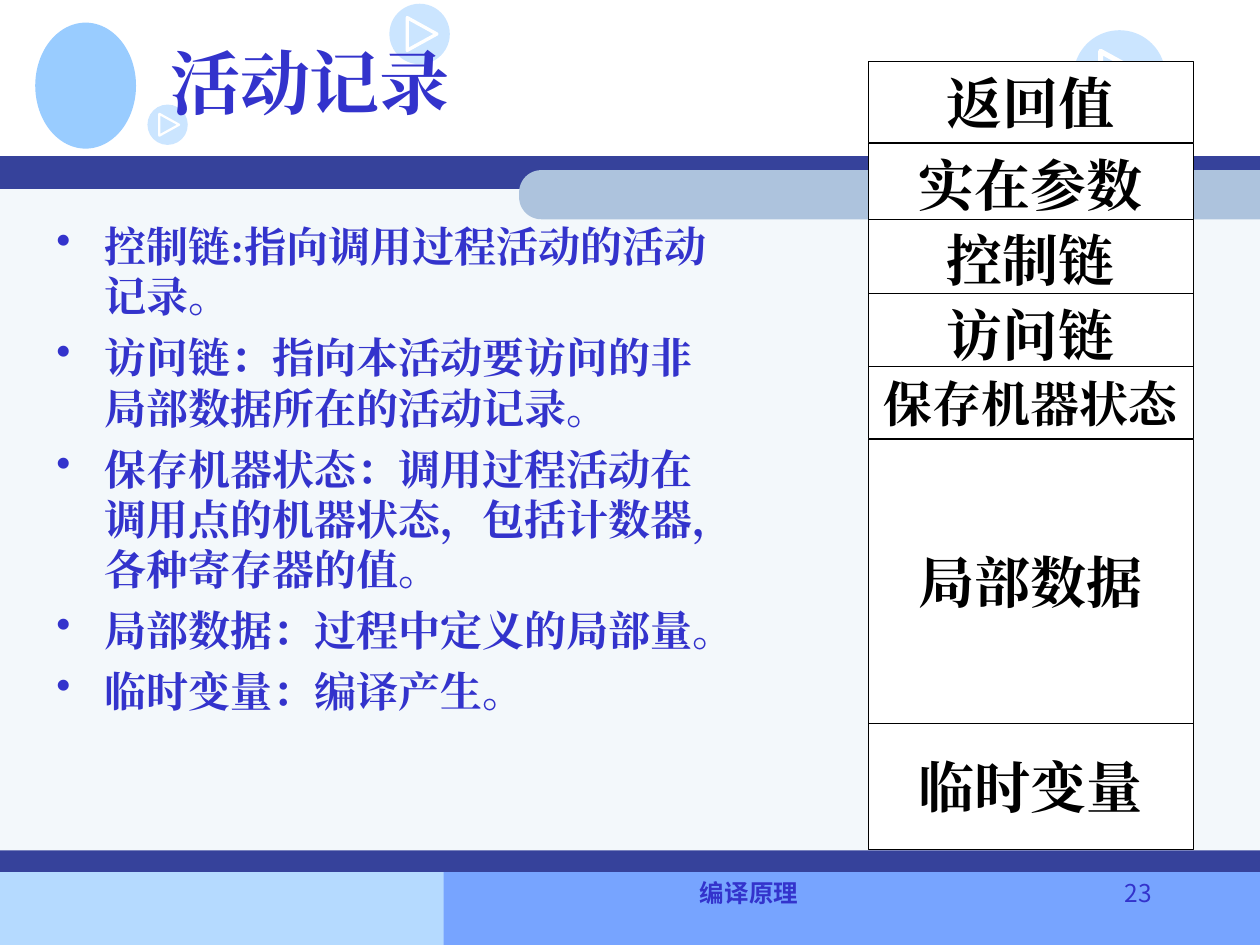
from pptx import Presentation
from pptx.dml.color import RGBColor
from pptx.enum import shapes, text
from pptx.oxml import parse_xml
from pptx.oxml.ns import nsdecls, qn
from pptx.util import Inches, Pt

WHITE = RGBColor(0xFF, 0xFF, 0xFF)
BLACK = RGBColor(0, 0, 0)
INK = RGBColor(0x33, 0x33, 0xCC)
SKY = RGBColor(0x99, 0xCC, 0xFF)
NAVY = RGBColor(0x36, 0x42, 0x9B)
PALE = RGBColor(0xF3, 0xF8, 0xFB)
STEEL = RGBColor(0xAD, 0xC3, 0xDD)
FOOT_LEFT = RGBColor(0xB5, 0xDA, 0xFF)
FOOT_RIGHT = RGBColor(0x77, 0xA4, 0xFF)

SERIF = "Times New Roman"
SANS = "Noto Sans CJK KR"
SHAPE = shapes.MSO_SHAPE
ALIGN = text.PP_ALIGN

BULLETS = [
    "控制链:指向调用过程活动的活动记录。",
    "访问链：指向本活动要访问的非局部数据所在的活动记录。",
    "保存机器状态：调用过程活动在调用点的机器状态，包括计数器，各种寄存器的值。",
    "局部数据：过程中定义的局部量。",
    "临时变量：编译产生。",
]

# Fields of the activation record: label, top, height, text size
FIELDS = [
    ("返回值", 0.49, 0.64, 32),
    ("实在参数", 1.14, 0.64, 32),
    ("控制链", 1.74, 0.64, 32),
    ("访问链", 2.33, 0.64, 32),
    ("保存机器状态", 2.91, 0.57, 28),
    ("局部数据", 3.49, 2.25, 32),
    ("临时变量", 5.74, 1, 32),
]


def add_shape(s, kind, x, y, w, h, fill=None, line=None, width=0.75):
    sp = s.shapes.add_shape(kind, Inches(x), Inches(y), Inches(w), Inches(h))
    sp.shadow.inherit = False
    if fill is None:
        sp.fill.background()
    else:
        sp.fill.solid()
        sp.fill.fore_color.rgb = fill
    if line is None:
        sp.line.fill.background()
    else:
        sp.line.color.rgb = line
        sp.line.width = Pt(width)
    return sp


def write(p, words, size, color, font=SERIF, bold=True, align=ALIGN.LEFT):
    p.text = words
    p.alignment = align
    f = p.font
    f.size, f.bold, f.name = Pt(size), bold, font
    f.color.rgb = color
    # East Asian glyphs follow the same font name
    latin = f._element.find(qn("a:latin"))
    latin.addnext(parse_xml(f'<a:ea {nsdecls("a")} typeface="{font}"/>'))


def add_text(s, x, y, w, h):
    tf = s.shapes.add_textbox(Inches(x), Inches(y), Inches(w), Inches(h)).text_frame
    tf.word_wrap = True
    return tf


def add_play_button(s, x, y, d):
    disc = add_shape(s, SHAPE.OVAL, x, y, d, d, SKY)
    color = disc.fill._xPr.find(qn("a:solidFill"))[0]
    color.append(parse_xml(f'<a:alpha {nsdecls("a")} val="50000"/>'))
    w, h = 0.54 * d, 0.49 * d
    arrow = add_shape(s, SHAPE.ISOSCELES_TRIANGLE, x + 0.54 * d - w / 2,
                      y + (d - h) / 2, w, h, line=WHITE, width=4 * d)
    arrow.rotation = 90


def add_backdrop(s):
    for x, y, w, h, fill in [
        (0, 6.92, 4.25, 0.58, FOOT_LEFT),
        (3.52, 6.91, 6.48, 0.59, FOOT_RIGHT),
        (0, 1.4, 10, 5.51, PALE),
        (0, 1.24, 10, 0.26, NAVY),
        (0, 6.75, 10, 0.17, NAVY),
    ]:
        add_shape(s, SHAPE.RECTANGLE, x, y, w, h, fill)
    # Band with a rounded left end: an upright shape turned on its side
    length, height = 5.88, 0.39
    band = add_shape(s, SHAPE.ROUND_2_SAME_RECTANGLE, 10 - (length + height) / 2,
                     1.35 - (length - height) / 2, height, length, STEEL)
    band.adjustments[0] = 0.45
    band.rotation = 270
    # Plain emblem and play buttons
    add_shape(s, SHAPE.OVAL, 0.28, 0.18, 0.8, 1, SKY)
    for x, y, d in [(3.09, 0.03, 0.48), (8.52, 0.24, 0.73), (1.17, 0.83, 0.32)]:
        add_play_button(s, x, y, d)


def add_title(s, words):
    title = s.shapes.title
    title.left, title.top = Inches(1.25), Inches(0.06)
    title.width, title.height = Inches(8.5), Inches(1.17)
    tf = title.text_frame
    tf.vertical_anchor = text.MSO_ANCHOR.MIDDLE
    write(tf.paragraphs[0], words, 40, INK)
    s.shapes._spTree.append(title._element)  # in front of the backdrop


def add_bullets(s, items):
    tf = add_text(s, 0.35, 1.7, 5.43, 4.76)
    for i, item in enumerate(items):
        p = tf.add_paragraph() if i else tf.paragraphs[0]
        write(p, item, 24, INK)
        p.space_before = Pt(6)
        p.line_spacing = Pt(28.8)
        pPr = p._p.get_or_add_pPr()
        pPr.set("marL", str(Inches(0.38)))
        pPr.set("indent", str(-Inches(0.38)))
        bullet = parse_xml(f'<a:buChar {nsdecls("a")} char="•"/>')
        pPr.find(qn("a:defRPr")).addprevious(bullet)


def add_field(s, label, top, height, size):
    sp = add_shape(s, SHAPE.RECTANGLE, 6.89, top, 2.58, height, WHITE, BLACK)
    tf = sp.text_frame
    tf.vertical_anchor = text.MSO_ANCHOR.MIDDLE
    write(tf.paragraphs[0], label, size, BLACK, align=ALIGN.CENTER)


def add_footer(s):
    for x, w, words, bold, align in [
        (3.42, 5.05, "编译原理", True, ALIGN.CENTER),
        (8.46, 0.78, "23", False, ALIGN.RIGHT),
    ]:
        tf = add_text(s, x, 6.92, w, 0.5)
        write(tf.paragraphs[0], words, 14, INK, SANS, bold, align)


def main():
    prs = Presentation()
    prs.slide_width, prs.slide_height = Inches(10), Inches(7.5)
    s = prs.slides.add_slide(prs.slide_layouts[5])
    add_backdrop(s)
    add_title(s, "活动记录")
    add_bullets(s, BULLETS)
    for field in FIELDS:
        add_field(s, *field)
    add_footer(s)
    prs.save("out.pptx")


if __name__ == "__main__":
    main()
